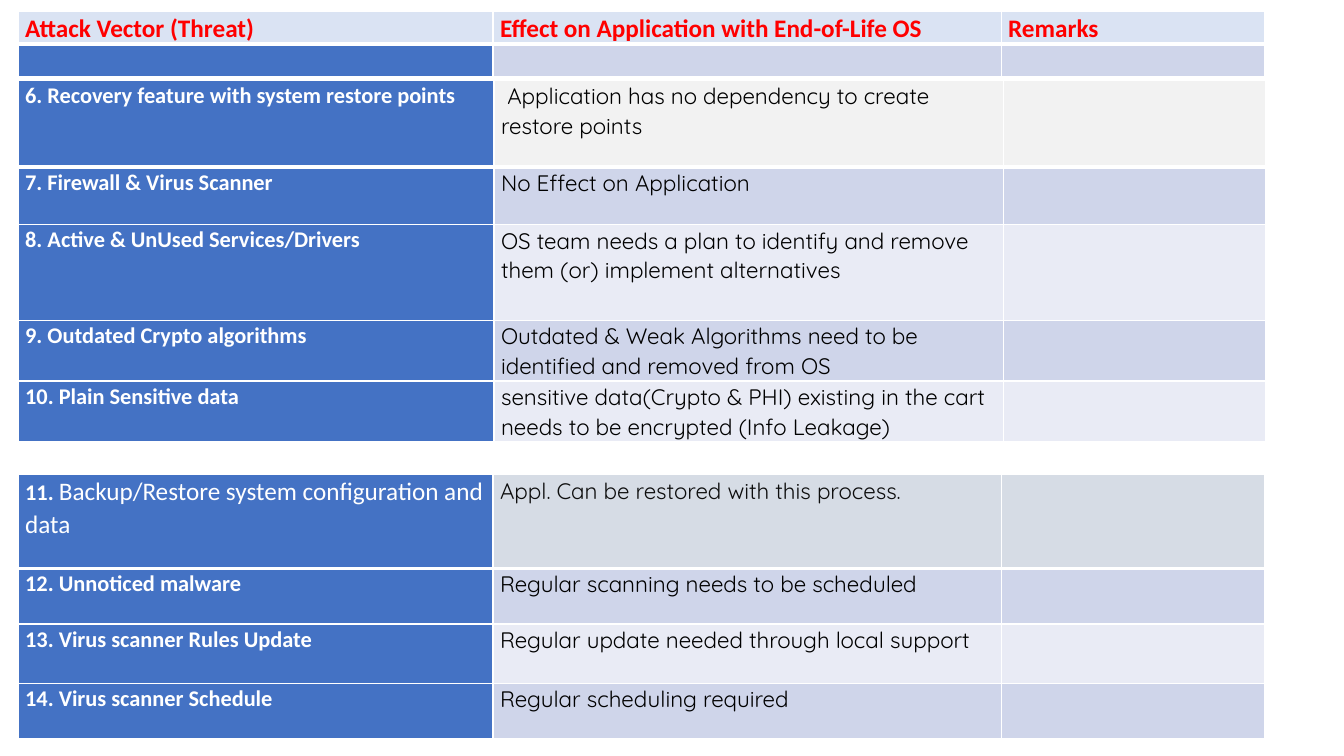
from lxml import etree
from pptx import Presentation
from pptx import util as u
from pptx.dml.color import RGBColor
from pptx.oxml import ns

RED = RGBColor(0xFF, 0x00, 0x00)
WHITE = RGBColor(0xFF, 0xFF, 0xFF)
BLACK = RGBColor(0x00, 0x00, 0x00)
CHARCOAL = RGBColor(0x0D, 0x0D, 0x0D)
BLUE = RGBColor(0x44, 0x72, 0xC4)
PALE_BLUE = RGBColor(0xDA, 0xE3, 0xF3)
BAND = RGBColor(0xCF, 0xD5, 0xEA)
LIGHT_BAND = RGBColor(0xE9, 0xEB, 0xF5)
GREY = RGBColor(0xF2, 0xF2, 0xF2)
BLUE_GREY = RGBColor(0xD6, 0xDC, 0xE5)


def heading(words):
    return [(words, 18, "Calibri", RED, True)]


def threat(words):
    return [(words, 16, "Calibri", WHITE, True)]


def effect(words, color=BLACK):
    return [(words, 16, "Quicksand", color, False)]


LEFT = 0.18
COLUMNS = [4.71, 5.04, 2.61]
WIDE_COLUMNS = [4.72, 5.05, 2.6]
TABLES = [
    (0.11, COLUMNS, [
        (0.32, PALE_BLUE, PALE_BLUE, [
            heading("Attack Vector (Threat)"),
            heading("Effect on Application with End-of-Life OS"),
            heading("Remarks")]),
        (0.32, BLUE, BAND, [[], [], []]),
    ]),
    (0.8, WIDE_COLUMNS, [
        (0.86, BLUE, GREY, [
            threat("6. Recovery feature with system restore points"),
            [(" ", 16, "Quicksand", WHITE, True)]
            + effect("Application has no dependency to create restore points"), []]),
        (0.57, BLUE, BAND, [
            threat("7. Firewall & Virus Scanner"),
            effect("No Effect on Application"), []]),
        (0.95, BLUE, LIGHT_BAND, [
            threat("8. Active & UnUsed Services/Drivers"),
            effect("OS team needs a plan to identify and remove them (or) implement alternatives"), []]),
        (0.6, BLUE, BAND, [
            threat("9. Outdated Crypto algorithms"),
            effect("Outdated & Weak Algorithms need to be identified and removed from OS"), []]),
        (0.6, BLUE, LIGHT_BAND, [
            threat("10. Plain Sensitive data"),
            effect("sensitive data(Crypto & PHI) existing in the cart needs to be encrypted (Info Leakage)"), []]),
    ]),
    (4.71, COLUMNS, [
        (0.93, BLUE, BLUE_GREY, [
            threat("11. ")
            + [("Backup/Restore system configuration and data", 18, "Calibri", WHITE, False)],
            effect("Appl. Can be restored with this process.", CHARCOAL), []]),
        (0.55, BLUE, BAND, [
            threat("12. Unnoticed malware"),
            effect("Regular scanning needs to be scheduled"), []]),
        (0.59, BLUE, LIGHT_BAND, [
            threat("13. Virus scanner Rules Update"),
            effect("Regular update needed through local support"), []]),
        (0.55, BLUE, BAND, [
            threat("14. Virus scanner Schedule"),
            effect("Regular scheduling required"), []]),
    ]),
]

deck = Presentation()
deck.slide_width = u.Inches(13.33)
deck.slide_height = u.Inches(7.5)
page = deck.slides.add_slide(deck.slide_layouts[6])

for top, columns, rows in TABLES:
    height = sum(row[0] for row in rows)
    table = page.shapes.add_table(
        len(rows), len(columns), u.Inches(LEFT), u.Inches(top),
        u.Inches(sum(columns)), u.Inches(height)).table
    table.first_row = False
    table.horz_banding = False
    for column, width in zip(table.columns, columns):
        column.width = u.Inches(width)
    for row_index, (row_height, first_fill, other_fill, contents) in enumerate(rows):
        table.rows[row_index].height = u.Inches(row_height)
        for column_index, runs in enumerate(contents):
            cell = table.cell(row_index, column_index)
            cell.margin_left = cell.margin_right = u.Inches(0.07)
            cell.margin_top = cell.margin_bottom = 0
            properties = cell._tc.get_or_add_tcPr()
            for side in ("lnL", "lnR", "lnT", "lnB"):
                thick = row_index == 0 and side == "lnB"
                line = etree.SubElement(properties, ns.qn(f"a:{side}"), w=str(u.Pt(3 if thick else 1)))
                solid = etree.SubElement(line, ns.qn("a:solidFill"))
                etree.SubElement(solid, ns.qn("a:srgbClr"), val=str(WHITE))
            cell.fill.solid()
            cell.fill.fore_color.rgb = other_fill if column_index else first_fill
            para = cell.text_frame.paragraphs[0]
            if runs:
                para.line_spacing = 1.07
            for words, size, font, color, bold in runs:
                span = para.add_run()
                span.text = words
                span.font.size = u.Pt(size)
                span.font.name = font
                span.font.color.rgb = color
                span.font.bold = bold

deck.save("out.pptx")
